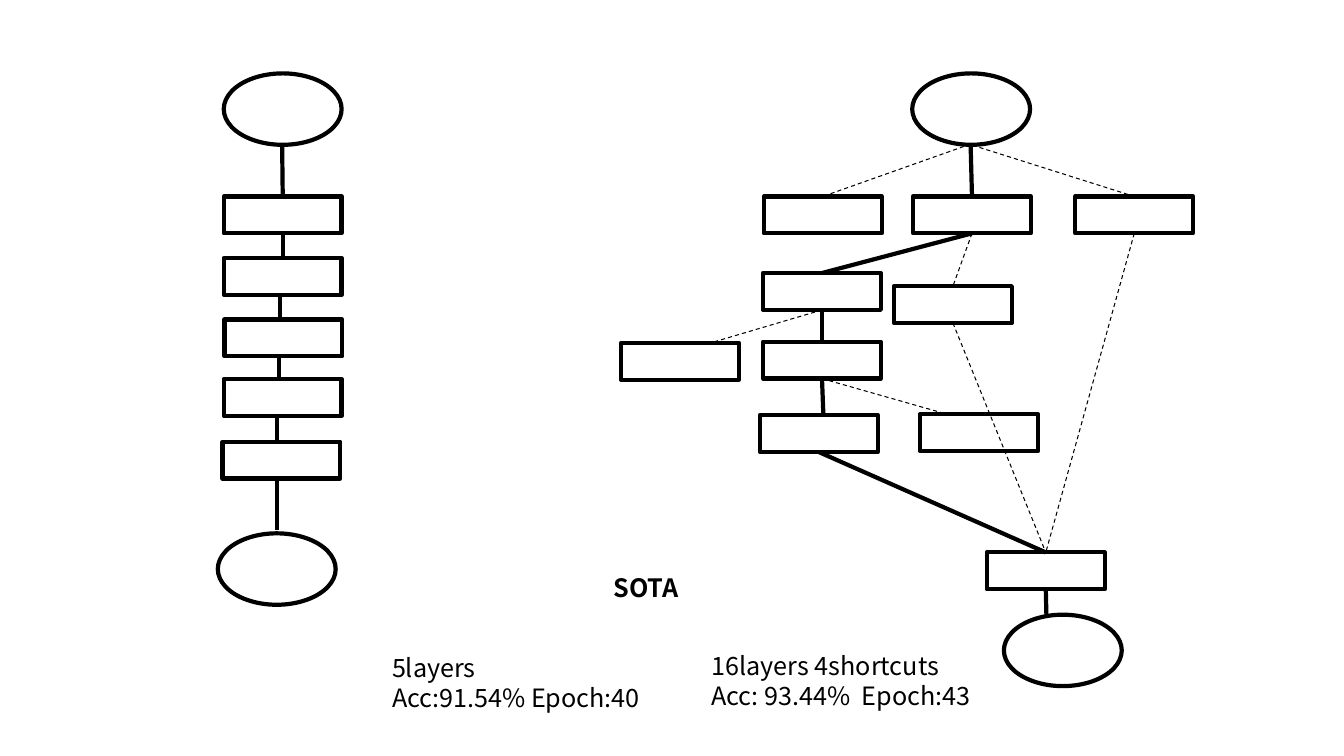
"""Build a slide comparing a plain layer chain with a network that has shortcuts."""
from dataclasses import dataclass

from lxml import etree
from pptx import Presentation
from pptx.dml import color
from pptx.enum import dml, shapes, text
from pptx.oxml import ns
from pptx.util import Cm, Pt

ENDS = {
    "plain in": (5.64, 1.85),
    "plain out": (5.49, 13.44),
    "deep in": (22.99, 1.85),
    "deep out": (25.3, 15.49),
}
LAYERS = {
    "plain 1": (5.64, 4.95),
    "plain 2": (5.64, 6.5),
    "plain 3": (5.66, 8.05),
    "plain 4": (5.64, 9.55),
    "plain 5": (5.61, 11.13),
    "left 1": (19.25, 4.95),
    "middle 1": (23.01, 4.95),
    "right 1": (27.1, 4.95),
    "left 2": (19.23, 6.88),
    "middle 2": (22.53, 7.21),
    "left 3": (19.23, 8.61),
    "outer 3": (15.65, 8.64),
    "left 4": (19.15, 10.46),
    "right 4": (23.19, 10.44),
    "merge": (24.87, 13.92),
}
FILLED = {"right 1", "middle 2", "outer 3", "left 4", "merge"}
MAIN_LINKS = [
    ((7.11, 3.63), "plain 1"),
    ("plain 1", "plain 2"),
    ((7.06, 7.42), (7.06, 8.05)),
    ((7.04, 8.97), (7.04, 9.6)),
    ((6.99, 10.49), (6.99, 11.13)),
    ((6.99, 12.04), (6.99, 13.36)),
    ((24.46, 3.63), "middle 1"),
    ("middle 1", "left 2"),
    ("left 2", "left 3"),
    ("left 3", (20.75, 10.46)),
    ("left 4", "merge"),
    ("merge", (26.37, 15.49)),
]
SHORTCUTS = [
    ((24.46, 3.63), "left 1"),
    ((24.51, 3.66), "right 1"),
    ("middle 1", "middle 2"),
    ("left 2", (18.01, 8.61)),
    ("left 3", (23.7, 10.39)),
    ("right 1", "merge"),
    ("middle 2", "merge"),
]
LABELS = [
    (9.63, 16.31, 9.09, 1.8, False, ["5layers", "Acc:91.54% Epoch:40"]),
    (17.68, 16.26, 7.44, 1.8, False, ["16layers 4shortcuts", "Acc: 93.44%  Epoch:43"]),
    (15.21, 14.3, 2.95, 1.02, True, ["SOTA"]),
]
NODE_WIDTH, LAYER_HEIGHT, END_HEIGHT = 2.97, 0.93, 1.8
TOP, BOTTOM = 0, 2


@dataclass(frozen=True)
class Theme:
    """Hold the colours, font and sizes of the slide."""
    ink: color.RGBColor = color.RGBColor(0, 0, 0)
    paper: color.RGBColor = color.RGBColor(255, 255, 255)
    font: str = "Noto Sans CJK KR"
    size: int = Pt(18)
    heavy: int = Pt(3)
    thin: int = Pt(0.75)


THEME = Theme()


def set_values(target, values):
    """Set each named attribute on the target."""
    for name, value in values.items():
        setattr(target, name, value)


def add_node(page, kind, name, place, height):
    """Draw one outlined node and return it."""
    node = page.shapes.add_shape(kind, *map(Cm, (*place, NODE_WIDTH, height)))
    node.shadow.inherit = False
    if name in FILLED:
        node.fill.solid()
        node.fill.fore_color.rgb = THEME.paper
    else:
        node.fill.background()
    node.line.color.rgb = THEME.ink
    node.line.width = THEME.heavy
    return node


def add_link(page, nodes, start, end, style):
    """Draw one line between nodes or free points."""
    points = [(0, 0) if isinstance(tip, str) else tip for tip in (start, end)]
    link = page.shapes.add_connector(
        shapes.MSO_CONNECTOR.STRAIGHT, *(Cm(value) for point in points for value in point))
    if isinstance(start, str):
        link.begin_connect(nodes[start], BOTTOM)
    if isinstance(end, str):
        link.end_connect(nodes[end], TOP)
    link.line.color.rgb = THEME.ink
    set_values(link.line, style)
    etree.SubElement(link._element.spPr, ns.qn("a:effectLst"))


def add_label(page, left, top, width, height, bold, lines):
    """Write one text box with a paragraph for each line."""
    box = page.shapes.add_textbox(*map(Cm, (left, top, width, height)))
    frame = box.text_frame
    set_values(frame, {"word_wrap": True, "auto_size": text.MSO_AUTO_SIZE.SHAPE_TO_FIT_TEXT})
    frame.text = "\n".join(lines)
    for para in frame.paragraphs:
        for span in para.runs:
            set_values(span.font, {"name": THEME.font, "size": THEME.size, "bold": bold})
            span.font.color.rgb = THEME.ink


def main():
    """Build and save the deck."""
    deck = Presentation()
    set_values(deck, {"slide_width": Cm(33.87), "slide_height": Cm(19.05)})
    page = deck.slides.add_slide(deck.slide_layouts[6])
    nodes = {}
    for kind, group, height in (
        (shapes.MSO_SHAPE.OVAL, ENDS, END_HEIGHT),
        (shapes.MSO_SHAPE.RECTANGLE, LAYERS, LAYER_HEIGHT),
    ):
        for name, place in group.items():
            nodes[name] = add_node(page, kind, name, place, height)
    for links, style in (
        (MAIN_LINKS, {"width": THEME.heavy}),
        (SHORTCUTS, {"width": THEME.thin, "dash_style": dml.MSO_LINE.DASH}),
    ):
        for start, end in links:
            add_link(page, nodes, start, end, style)
    for label in LABELS:
        add_label(page, *label)
    deck.save("out.pptx")


if __name__ == "__main__":
    main()
